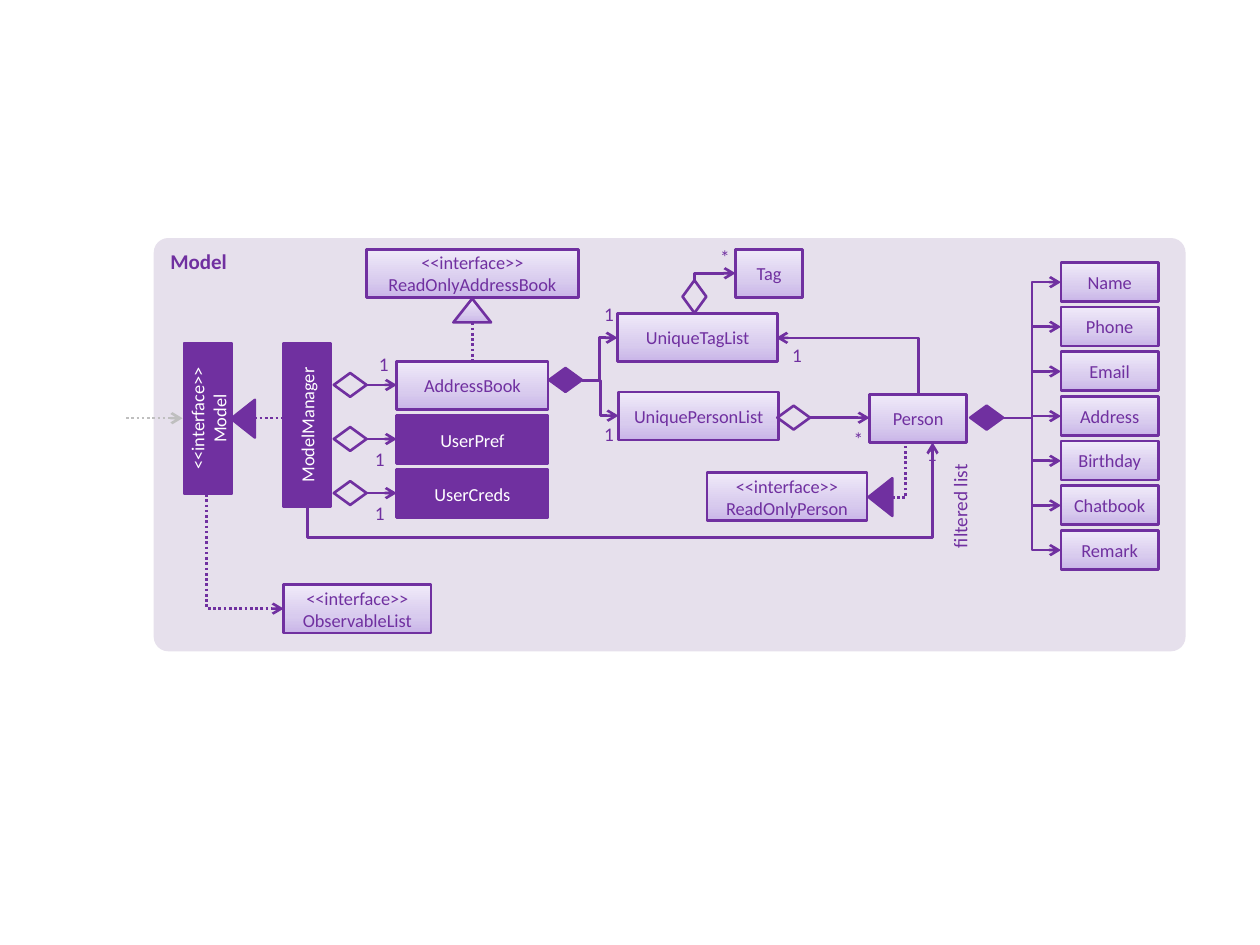
import copy

import pptx
import pptx.util
import pptx.dml.color
import pptx.enum.dml
import pptx.enum.shapes
import pptx.enum.text
import pptx.oxml
import pptx.oxml.ns
from lxml import etree

Cm = pptx.util.Cm
Pt = pptx.util.Pt
qn = pptx.oxml.ns.qn
SHAPE = pptx.enum.shapes.MSO_SHAPE
CONNECTOR = pptx.enum.shapes.MSO_CONNECTOR
ALIGN = pptx.enum.text.PP_ALIGN
ANCHOR = pptx.enum.text.MSO_ANCHOR

PURPLE, WHITE, PANEL, GRAY = "7030A0", "FFFFFF", "E6E0EC", "BFBFBF"
GRADIENT = [(0, "C9B5E8"), (0.35, "D8CBEE"), (1, "F0EAF9")]
BOX_HEIGHT = 0.97


def paint(color_format, value):
    color_format.rgb = pptx.dml.color.RGBColor.from_string(value)


def fill_shape(shape, fill):
    """Fill with a hex colour, a list of gradient stops, or nothing."""
    if fill is None:
        shape.fill.background()
    elif isinstance(fill, str):
        shape.fill.solid()
        paint(shape.fill.fore_color, fill)
    else:
        shape.fill.gradient()
        shape.fill.gradient_angle = 90
        stop_list = shape.element.find(".//" + qn("a:gsLst"))
        stop_list.insert(1, copy.deepcopy(stop_list[0]))
        for stop, (position, value) in zip(shape.fill.gradient_stops, fill):
            stop.position = position
            paint(stop.color, value)


def write(frame, text, size, color, align, bold=False):
    frame.word_wrap = True
    frame.text = text
    for paragraph in frame.paragraphs:
        paragraph.alignment = align
        paragraph.font.name = "Calibri"
        paragraph.font.size = Pt(size)
        paragraph.font.bold = bold
        paint(paragraph.font.color, color)


def add_outline(slide, kind, x, y, width, height, fill=None, turn=0):
    shape = slide.shapes.add_shape(kind, Cm(x), Cm(y), Cm(width), Cm(height))
    shape.shadow.inherit = False
    shape.rotation = turn
    fill_shape(shape, fill)
    paint(shape.line.color, PURPLE)
    shape.line.width = Pt(1.5)
    return shape


def add_class(slide, text, x, y, width, height=BOX_HEIGHT, solid=False, turn=0):
    box = add_outline(slide, SHAPE.RECTANGLE, x, y, width, height,
                      PURPLE if solid else GRADIENT, turn)
    box.text_frame.vertical_anchor = ANCHOR.MIDDLE
    write(box.text_frame, text, 10.5, WHITE if solid else PURPLE, ALIGN.CENTER)


def add_diamond(slide, x, y, fill=None, turn=0):
    add_outline(slide, SHAPE.FLOWCHART_DECISION, x, y, 0.66, 0.48, fill, turn)


def add_triangle(slide, x, y, fill=PURPLE, turn=0):
    add_outline(slide, SHAPE.ISOSCELES_TRIANGLE, x, y, 0.76, 0.48, fill, turn)


def add_label(slide, text, x, y, width=0.53, height=0.51):
    label = slide.shapes.add_textbox(Cm(x), Cm(y), Cm(width), Cm(height))
    frame = label.text_frame
    frame.margin_left = frame.margin_right = frame.margin_top = frame.margin_bottom = 0
    write(frame, text, 11, PURPLE, ALIGN.CENTER)


def add_link(slide, start, end, bend=None, upright=False, adjust=None,
             dotted=False, arrow=True, color=PURPLE):
    """Straight or elbow link; an upright one leaves its start vertically."""
    (x1, y1), (x2, y2) = start, end
    if upright:
        mid_x, mid_y = (x1 + x2) / 2, (y1 + y2) / 2
        half_x, half_y = (x2 - x1) / 2, (y2 - y1) / 2
        x1, x2 = mid_x - half_y, mid_x + half_y
        y1, y2 = mid_y + half_x, mid_y - half_x
    link = slide.shapes.add_connector(CONNECTOR.ELBOW if bend else CONNECTOR.STRAIGHT,
                                      Cm(x1), Cm(y1), Cm(x2), Cm(y2))
    paint(link.line.color, color)
    link.line.width = Pt(1.5)
    if dotted:
        link.line.dash_style = pptx.enum.dml.MSO_LINE.ROUND_DOT

    properties = link.element.spPr
    if upright:
        properties.find(qn("a:xfrm")).set("rot", "5400000")
    geometry = properties.find(qn("a:prstGeom"))
    if bend:
        geometry.set("prst", bend)
    if adjust is not None:
        guide = etree.SubElement(geometry.find(qn("a:avLst")), qn("a:gd"))
        guide.set("name", "adj1")
        guide.set("fmla", f"val {round(adjust * 100000)}")
    if arrow:
        etree.SubElement(properties.find(qn("a:ln")), qn("a:tailEnd")).set("type", "arrow")
    etree.SubElement(properties, qn("a:effectLst"))


def add_panel(slide):
    panel = add_outline(slide, SHAPE.ROUNDED_RECTANGLE, 3.1, 4.8, 20.8, 8.33, PANEL)
    panel.adjustments[0] = 0.035
    panel.line.fill.background()
    panel.text_frame.vertical_anchor = ANCHOR.TOP
    write(panel.text_frame, "Model", 12, PURPLE, ALIGN.LEFT, bold=True)


def add_manager(slide):
    add_class(slide, "ModelManager", 4.55, 8.08, 3.28, solid=True, turn=270)
    add_link(slide, (6.2, 10.21), (18.8, 8.92), "bentConnector3", True, adjust=-0.49)
    add_class(slide, "<<interface>>\nModel", 2.67, 7.95, 3.05, solid=True, turn=270)
    add_triangle(slide, 4.52, 8.2, turn=270)
    add_link(slide, (2.54, 8.43), (3.68, 8.43), dotted=True, color=GRAY)
    add_link(slide, (5.13, 8.43), (5.74, 8.43), dotted=True, arrow=False)
    add_class(slide, "<<interface>>\vObservableList", 5.72, 11.79, 2.97)
    add_link(slide, (4.17, 9.96), (5.72, 12.27), "bentConnector2", True, dotted=True)

    # Parts held by the manager
    for row, part in enumerate(["AddressBook", "UserPref", "UserCreds"]):
        shift = row * 1.09
        add_class(slide, part, 8, 7.29 + shift, 3.05, solid=row > 0)
        add_link(slide, (7.39, 7.76 + shift), (8, 7.76 + shift))
        add_diamond(slide, 6.73, 7.52 + shift)


def add_address_book(slide):
    add_link(slide, (9.53, 6.5), (9.53, 7.32), dotted=True, arrow=False)
    add_triangle(slide, 9.14, 6.02, GRADIENT)
    add_class(slide, "<<interface>>\vReadOnlyAddressBook", 7.39, 5.03, 4.27)
    add_class(slide, "UniquePersonList", 12.47, 7.9, 3.23)
    add_class(slide, "UniqueTagList", 12.45, 6.32, 3.23)
    add_diamond(slide, 11.07, 7.42, PURPLE)
    for list_edge in [(12.47, 8.38), (12.45, 6.81)]:
        add_link(slide, (11.73, 7.67), list_edge, "bentConnector3")

    # Tags
    add_class(slide, "Tag", 14.83, 5.03, 1.35)
    add_diamond(slide, 13.67, 5.74, turn=270)
    add_link(slide, (14, 5.66), (14.83, 5.51), "bentConnector2", True)


def add_person(slide):
    add_link(slide, (17.98, 10.03), (18.26, 8.86), "bentConnector2",
             dotted=True, arrow=False)
    add_triangle(slide, 17.37, 9.78, turn=270)
    add_class(slide, "Person", 17.53, 7.95, 1.96)
    add_diamond(slide, 15.67, 8.18)
    add_link(slide, (16.33, 8.42), (17.53, 8.42))
    add_class(slide, "<<interface>>\vReadOnlyPerson", 14.25, 9.53, 3.23)
    add_link(slide, (18.52, 7.95), (15.65, 6.81), "bentConnector2", True)
    filtered = slide.shapes.add_textbox(Cm(18.14), Cm(9.96), Cm(2.44), Cm(0.74))
    filtered.rotation = 270
    write(filtered.text_frame, "filtered list", 11, PURPLE, ALIGN.RIGHT)

    # Attributes
    add_diamond(slide, 19.56, 8.18, PURPLE)
    attributes = ["Name", "Phone", "Email", "Address", "Birthday", "Chatbook", "Remark"]
    for row, attribute in enumerate(attributes):
        top = 5.29 + row * 0.9
        add_class(slide, attribute, 21.39, top, 1.96, 0.79)
        add_link(slide, (20.22, 8.43), (21.39, top + 0.4), "bentConnector3")


def add_multiplicities(slide):
    places = {
        "1": [(12.01, 6.1), (12.01, 8.51), (15.8, 6.93), (7.47, 7.11),
              (7.39, 9.02), (18.52, 8.92), (7.39, 10.11)],
        "*": [(14.35, 4.95), (17.04, 8.61)],
    }
    for count, corners in places.items():
        for x, y in corners:
            add_label(slide, count, x, y)


def main():
    deck = pptx.Presentation()
    deck.slide_width, deck.slide_height = Cm(25.4), Cm(19.05)
    slide = deck.slides.add_slide(deck.slide_layouts[6])
    add_panel(slide)
    add_manager(slide)
    add_address_book(slide)
    add_person(slide)
    add_multiplicities(slide)
    deck.save("out.pptx")


main()
